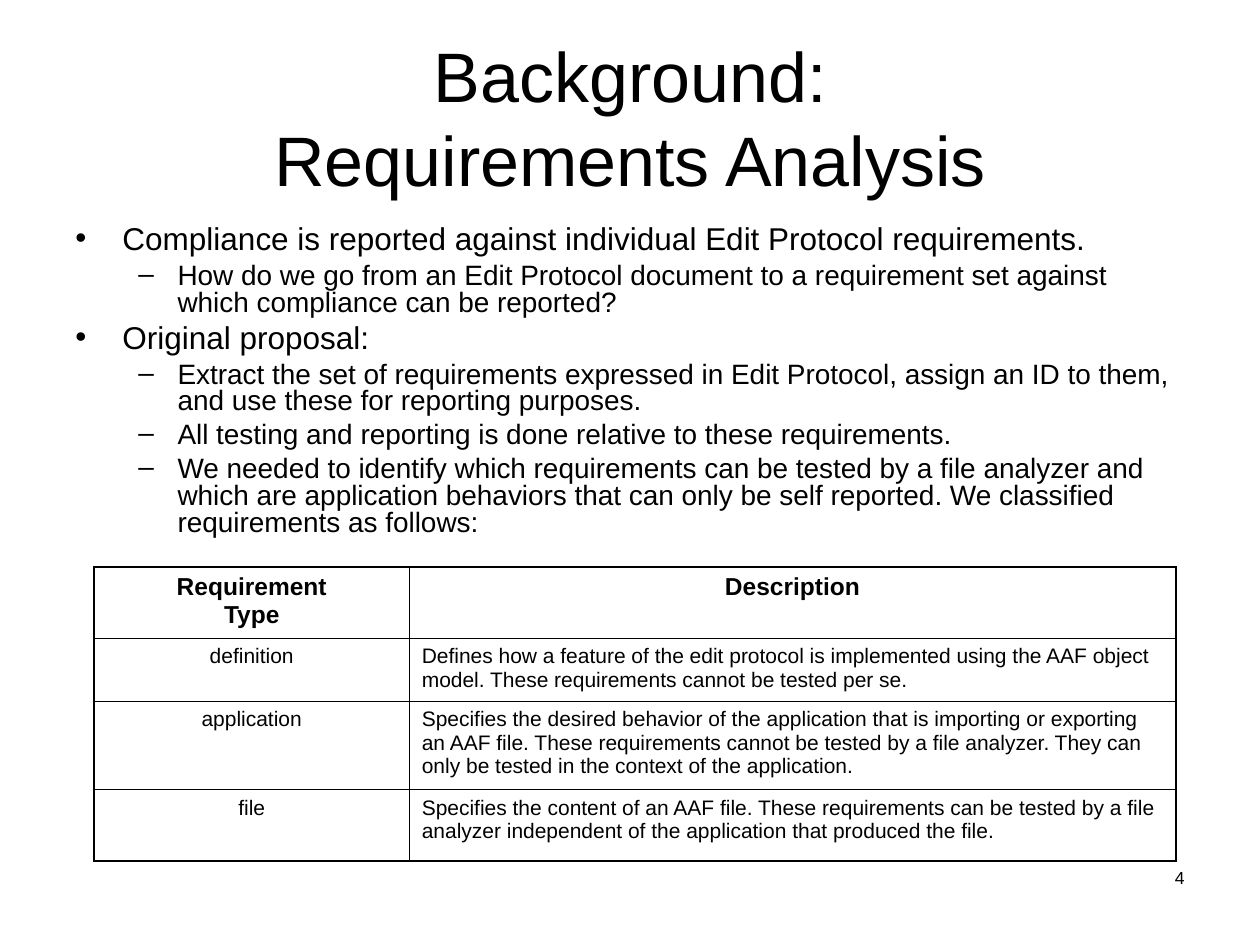
from copy import deepcopy

from lxml import etree
from pptx import Presentation
from pptx.dml import color
from pptx.enum import text
from pptx.oxml import ns
from pptx.util import Cm, Pt

LEFT, CENTER, RIGHT = text.PP_ALIGN.LEFT, text.PP_ALIGN.CENTER, text.PP_ALIGN.RIGHT


def rgb(hex_string):
    return color.RGBColor.from_string(hex_string)


def write(p, content, size=12, bold=False, align=LEFT, before=0, spacing=None,
          bullet=None, margin=0, indent=0):
    p.text = content
    p.alignment = align
    p.space_before = Pt(before)
    if spacing:
        p.line_spacing = spacing
    for r in p.runs:
        r.font.name = "Arial"
        r.font.size = Pt(size)
        r.font.bold = bold
        r.font.color.rgb = rgb("000000")
    # Line breaks take the format of the text around them
    for br in p._p.findall(ns.qn("a:br")):
        br.append(deepcopy(p.runs[0]._r.rPr))
    if bullet:
        pPr = p._p.get_or_add_pPr()
        pPr.set("marL", str(Cm(margin)))
        pPr.set("indent", str(Cm(indent)))
        etree.SubElement(pPr, ns.qn("a:buFont"), typeface="Arial")
        etree.SubElement(pPr, ns.qn("a:buChar"), char=bullet)


prs = Presentation()
prs.slide_width, prs.slide_height = Cm(25.4), Cm(19.05)
s = prs.slides.add_slide(prs.slide_layouts[6])

# Title
tf = s.shapes.add_textbox(Cm(1.27), Cm(0.76), Cm(22.86), Cm(3.18)).text_frame
tf.word_wrap = True
tf.vertical_anchor = text.MSO_ANCHOR.MIDDLE
write(tf.paragraphs[0], "Background:\vRequirements Analysis", size=40, align=CENTER)

# Bulleted text
levels = [
    dict(size=18, before=4.5, bullet="•", margin=0.95, indent=-0.95),
    dict(size=16, before=4, bullet="–", margin=2.06, indent=-0.79),
]
points = [
    (0, "Compliance is reported against individual Edit Protocol requirements."),
    (1, "How do we go from an Edit Protocol document to a requirement set against "
        "which compliance can be reported?"),
    (0, "Original proposal:"),
    (1, "Extract the set of requirements expressed in Edit Protocol, assign an ID to "
        "them, and use these for reporting purposes."),
    (1, "All testing and reporting is done relative to these requirements."),
    (1, "We needed to identify which requirements can be tested by a file analyzer and "
        "which are application behaviors that can only be self reported. We classified "
        "requirements as follows:"),
]
tf = s.shapes.add_textbox(Cm(1.27), Cm(4.44), Cm(22.86), Cm(6.78)).text_frame
tf.word_wrap = True
for i, (level, content) in enumerate(points):
    p = tf.add_paragraph() if i else tf.paragraphs[0]
    p.level = level
    write(p, content, spacing=0.8, **levels[level])

# Requirement types table
rows = [
    ("Requirement\vType", "Description"),
    ("definition",
     "Defines how a feature of the edit protocol is implemented using the AAF object "
     "model. These requirements cannot be tested per se."),
    ("application",
     "Specifies the desired behavior of the application that is importing or exporting "
     "an AAF file. These requirements cannot be tested by a file analyzer. They can only "
     "be tested in the context of the application."),
    ("file",
     "Specifies the content of an AAF file. These requirements can be tested by a file "
     "analyzer independent of the application that produced the file."),
]
widths = [6.35, 15.45]
heights = [1.43, 1.26, 1.78, 1.43]
table = s.shapes.add_table(len(rows), len(widths), Cm(1.9), Cm(11.43),
                           Cm(sum(widths)), Cm(sum(heights))).table
table.first_row = table.horz_banding = False
for col, width in zip(table.columns, widths):
    col.width = Cm(width)
for i, row in enumerate(rows):
    table.rows[i].height = Cm(heights[i])
    for j, content in enumerate(row):
        cell = table.cell(i, j)
        header = i == 0
        write(cell.text_frame.paragraphs[0], content, size=14 if header else 12,
              bold=header, before=3.5 if header else 3,
              align=CENTER if header or j == 0 else LEFT)
        # Thick outer border, thin inner lines
        tcPr = cell._tc.get_or_add_tcPr()
        outer = {"lnL": j == 0, "lnR": j == len(widths) - 1,
                 "lnT": i == 0, "lnB": i == len(rows) - 1}
        for side, thick in outer.items():
            ln = etree.SubElement(tcPr, ns.qn("a:" + side), w=str(Pt(1.08 if thick else 0.45)))
            fill = etree.SubElement(ln, ns.qn("a:solidFill"))
            etree.SubElement(fill, ns.qn("a:srgbClr"), val="000000")
        cell.fill.background()

# Slide number
tf = s.shapes.add_textbox(Cm(18.2), Cm(17.35), Cm(5.93), Cm(1.32)).text_frame
tf.word_wrap = True
write(tf.paragraphs[0], "4", size=10, align=RIGHT)

prs.save("out.pptx")
